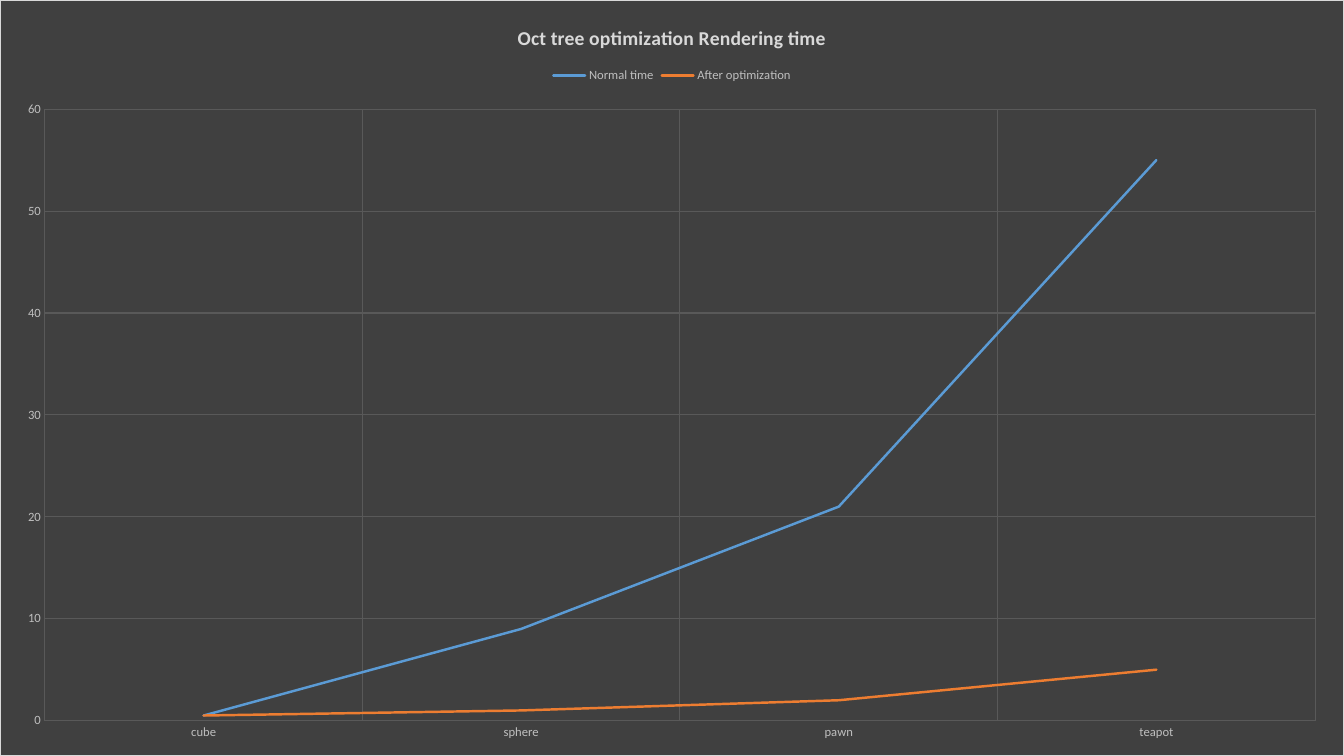
from lxml.etree import fromstring
from pptx import Presentation
from pptx.chart.data import CategoryChartData
from pptx.dml.color import RGBColor
from pptx.enum.chart import XL_CHART_TYPE, XL_LEGEND_POSITION, XL_MARKER_STYLE, XL_TICK_MARK
from pptx.oxml.ns import nsdecls, qn
from pptx.util import Inches, Pt

COLORS = {
    "background": "404040",
    "border": "D9D9D9",
    "title": "D9D9D9",
    "label": "BFBFBF",
    "grid": "595959",
    "Normal time": "5B9BD5",
    "After optimization": "ED7D31",
}
RENDERING_TIMES = {
    "Normal time": (0.5, 9, 21, 55),
    "After optimization": (0.5, 1, 2, 5),
}
PLOT_SHARES = {"x": 0.033, "y": 0.144, "w": 0.946, "h": 0.81}


def format_font(font, size, color, bold=False):
    settings = {"name": "Calibri", "size": Pt(size), "bold": bold}
    for attribute, value in settings.items():
        setattr(font, attribute, value)
    font.color.rgb = RGBColor.from_string(COLORS[color])


def format_line(line, width, color):
    line.width = Pt(width)
    line.color.rgb = RGBColor.from_string(COLORS[color])


presentation = Presentation()
presentation.slide_width = Inches(13.33)
presentation.slide_height = Inches(7.5)
slide = presentation.slides.add_slide(presentation.slide_layouts[6])

chart_data = CategoryChartData()
chart_data.categories = ["cube", "sphere", "pawn", "teapot"]
for name, times in RENDERING_TIMES.items():
    chart_data.add_series(name, times)
chart = slide.shapes.add_chart(
    XL_CHART_TYPE.LINE, 0, 0,
    presentation.slide_width, presentation.slide_height, chart_data,
).chart
format_font(chart.font, 9, "label")

# Title and legend
chart.has_title = True
title_frame = chart.chart_title.text_frame
title_frame.text = "Oct tree optimization Rendering time"
format_font(title_frame.paragraphs[0].runs[0].font, 14, "title", bold=True)
chart.chart_title.include_in_layout = False

chart.has_legend = True
chart.legend.position = XL_LEGEND_POSITION.TOP
chart.legend.include_in_layout = False
format_font(chart.legend.font, 9, "label")

# Axes
axis_settings = {
    "has_major_gridlines": True,
    "major_tick_mark": XL_TICK_MARK.NONE,
    "minor_tick_mark": XL_TICK_MARK.NONE,
}
for axis in (chart.category_axis, chart.value_axis):
    for attribute, value in axis_settings.items():
        setattr(axis, attribute, value)
    axis.format.line.fill.background()
    format_line(axis.major_gridlines.format.line, 0.75, "grid")
    format_font(axis.tick_labels.font, 9, "label")

value_scale = {"minimum_scale": 0, "maximum_scale": 60, "major_unit": 10}
for attribute, value in value_scale.items():
    setattr(chart.value_axis, attribute, value)

# Lines
plot = chart.plots[0]
plot.vary_by_categories = False
for series in plot.series:
    series.smooth = False
    series.marker.style = XL_MARKER_STYLE.NONE
    format_line(series.format.line, 1.75, series.name)
    series.format.line._get_or_add_ln().set("cap", "rnd")

# Chart area fill, border and plot area position
chart_element = chart._chartSpace.find(qn("c:chart"))
chart_element.addnext(fromstring(
    f'<c:spPr {nsdecls("c", "a")}>'
    f'<a:solidFill><a:srgbClr val="{COLORS["background"]}"/></a:solidFill>'
    f'<a:ln w="{Pt(0.75)}"><a:solidFill><a:srgbClr val="{COLORS["border"]}"/>'
    '</a:solidFill></a:ln></c:spPr>'
))
plot_area = chart_element.find(qn("c:plotArea"))
for layout in plot_area.findall(qn("c:layout")):
    plot_area.remove(layout)
modes = "".join(f'<c:{side}Mode val="edge"/>' for side in "xy")
shares = "".join(f'<c:{side} val="{share}"/>' for side, share in PLOT_SHARES.items())
plot_area.insert(0, fromstring(
    f'<c:layout {nsdecls("c")}><c:manualLayout><c:layoutTarget val="inner"/>'
    f'{modes}{shares}</c:manualLayout></c:layout>'
))

presentation.save("out.pptx")
